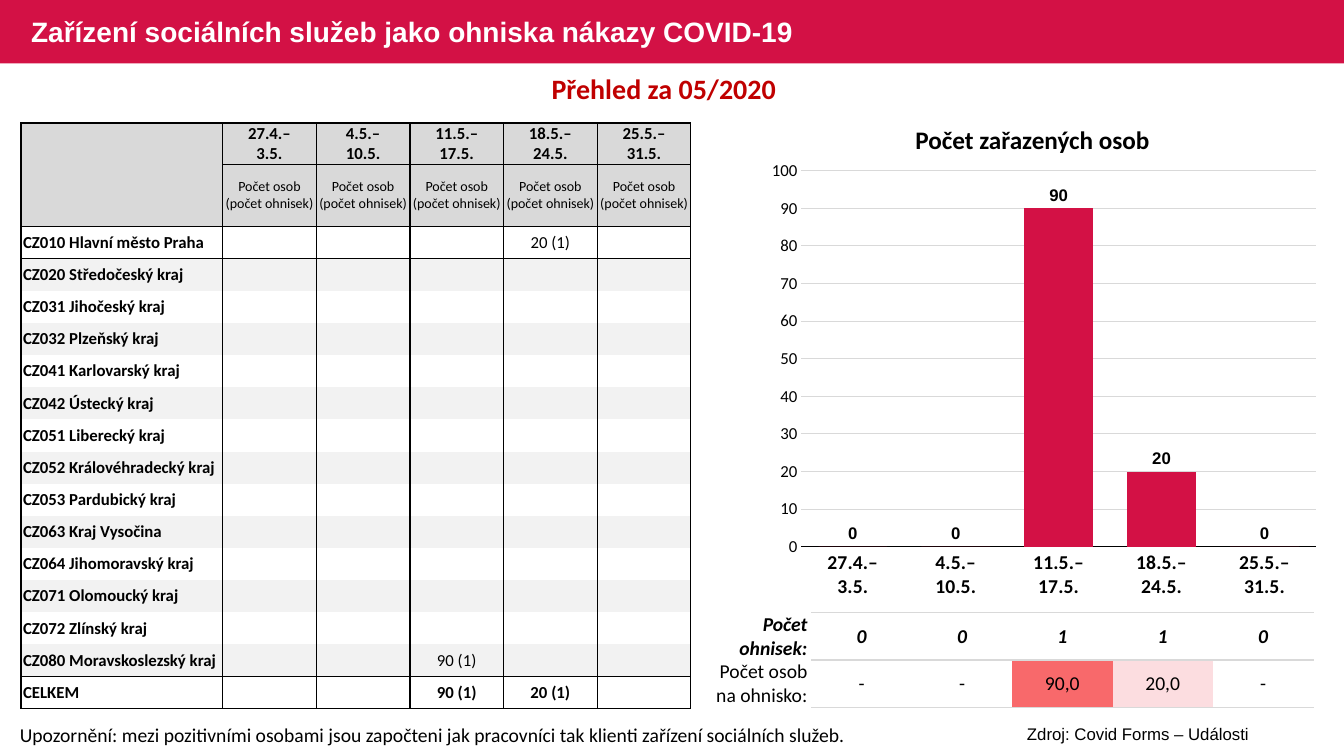
import copy

import pptx
import pptx.chart.data
import pptx.dml.color
import pptx.enum.chart
import pptx.enum.text
import pptx.oxml
import pptx.oxml.ns
import pptx.util

Cm, Pt, qn = pptx.util.Cm, pptx.util.Pt, pptx.oxml.ns.qn
ALIGN = pptx.enum.text.PP_ALIGN
MIDDLE = pptx.enum.text.MSO_ANCHOR.MIDDLE
RED, BLACK, GRID, STRIPE = "D31145", "000000", "D9D9D9", "F2F2F2"
NO_STYLE = "{2D5ABB26-0587-4C30-8999-92F81FD0307C}"

WEEKS = ["27.4.–\n3.5.", "4.5.–\n10.5.", "11.5.–\n17.5.", "18.5.–\n24.5.", "25.5.–\n31.5."]
REGIONS = ["CZ010 Hlavní město Praha", "CZ020 Středočeský kraj", "CZ031 Jihočeský kraj",
           "CZ032 Plzeňský kraj", "CZ041 Karlovarský kraj", "CZ042 Ústecký kraj",
           "CZ051 Liberecký kraj", "CZ052 Královéhradecký kraj", "CZ053 Pardubický kraj",
           "CZ063 Kraj Vysočina", "CZ064 Jihomoravský kraj", "CZ071 Olomoucký kraj",
           "CZ072 Zlínský kraj", "CZ080 Moravskoslezský kraj", "CELKEM"]
CASES = {("CZ010 Hlavní město Praha", 3): "20 (1)", ("CZ080 Moravskoslezský kraj", 2): "90 (1)",
         ("CELKEM", 2): "90 (1)", ("CELKEM", 3): "20 (1)"}


def color(hex_text):
    return pptx.dml.color.RGBColor.from_string(hex_text)


def format_font(font, **values):
    values = {"name": "Calibri", "size": 12, "bold": False, "color": BLACK} | values
    font.color.rgb = color(values.pop("color"))
    values["size"] = Pt(values["size"])
    for key, value in values.items():
        setattr(font, key, value)


def fill_solid(fill, hex_text):
    fill.solid()
    fill.fore_color.rgb = color(hex_text)


class SlideBuilder:
    def __init__(self, deck):
        self.slide = deck.slides.add_slide(deck.slide_layouts[5])
        self.shapes = self.slide.shapes

    def set_text(self, frame, text, align=ALIGN.LEFT, **font):
        paragraph = frame.paragraphs[0]
        paragraph.text = text
        paragraph.alignment = align
        for run in paragraph.runs:
            format_font(run.font, **font)
        # Line breaks and empty cells need the text size as well
        for line_break in paragraph._p.findall(qn("a:br")):
            line_break.insert(0, copy.deepcopy(paragraph.runs[0]._r.rPr))
        if not text:
            paragraph._p.get_or_add_endParaRPr().set("sz", str(font.get("size", 12) * 100))
        return paragraph

    def banner(self, *box):
        bar = self.shapes.add_shape(1, *map(Cm, box))
        bar.shadow.inherit = False
        fill_solid(bar.fill, RED)
        bar.line.fill.background()
        self.shapes._spTree.insert(2, bar._element)

    def title(self, text, *box):
        heading = self.shapes.title
        for side, length in zip(("left", "top", "width", "height"), box):
            setattr(heading, side, Cm(length))
        heading.text_frame.vertical_anchor = MIDDLE
        line = self.set_text(heading.text_frame, text, name="Arial", size=20, bold=True,
                             color="FFFFFF")
        line.line_spacing = 0.9

    def text(self, text, *box, **style):
        frame = self.shapes.add_textbox(*map(Cm, box)).text_frame
        frame.word_wrap = True
        frame.auto_size = pptx.enum.text.MSO_AUTO_SIZE.SHAPE_TO_FIT_TEXT
        self.set_text(frame, text, **style)

    def table(self, left, top, widths, heights):
        table = self.shapes.add_table(len(heights), len(widths), Cm(left), Cm(top),
                                      Cm(sum(widths)), Cm(sum(heights))).table
        table.first_row = table.horz_banding = False
        table._tbl.tblPr.find(qn("a:tableStyleId")).text = NO_STYLE
        for column, width in zip(table.columns, widths):
            column.width = Cm(width)
        for row, height in zip(table.rows, heights):
            row.height = Cm(height)
        return table

    def cell(self, cell, text="", fill=None, borders=None, margin=0.03, **style):
        """Borders map a side (L, R, T, B) to a width in points and a colour."""
        cell.vertical_anchor = MIDDLE
        cell.margin_left = cell.margin_right = Cm(margin)
        cell.margin_top = cell.margin_bottom = 0
        self.set_text(cell.text_frame, text, **style)
        properties = cell._tc.get_or_add_tcPr()
        for side in "LRTB":
            if side in (borders or {}):
                width, hex_text = borders[side]
                properties.append(pptx.oxml.parse_xml(
                    f'<a:ln{side} xmlns:a="http://schemas.openxmlformats.org/drawingml/2006/main" '
                    f'w="{Pt(width)}"><a:solidFill><a:srgbClr val="{hex_text}"/>'
                    f'</a:solidFill></a:ln{side}>'))
        if fill:
            fill_solid(cell.fill, fill)
        else:
            cell.fill.background()

    def column_chart(self, categories, values, *box):
        data = pptx.chart.data.CategoryChartData()
        data.categories = categories
        data.add_series("Počet zařazených osob", values)
        chart = self.shapes.add_chart(pptx.enum.chart.XL_CHART_TYPE.COLUMN_CLUSTERED,
                                      *map(Cm, box), data).chart
        chart.has_legend = chart.has_title = False
        format_font(chart.font, name="Arial", size=14, bold=True)
        plot = chart.plots[0]
        plot.gap_width, plot.vary_by_categories = 50, False
        fill_solid(plot.series[0].format.fill, RED)
        # Value labels
        plot.has_data_labels = True
        labels = plot.data_labels
        labels.show_value = True
        labels.position = pptx.enum.chart.XL_LABEL_POSITION.OUTSIDE_END
        format_font(labels.font, name="Arial", bold=True)
        # Axes
        weeks, persons = chart.category_axis, chart.value_axis
        for axis in (weeks, persons):
            axis.major_tick_mark = axis.minor_tick_mark = pptx.enum.chart.XL_TICK_MARK.NONE
        format_font(weeks.tick_labels.font, size=14, bold=True)
        format_font(persons.tick_labels.font)
        persons.minimum_scale, persons.maximum_scale, persons.major_unit = 0, 100, 10
        persons.format.line.fill.background()
        for line, shade in ((weeks.format.line, BLACK), (persons.major_gridlines.format.line, GRID)):
            line.width = Pt(0.75)
            line.color.rgb = color(shade)
        # Plot area inside the chart frame
        area = chart._chartSpace.chart.plotArea
        for old in area.findall(qn("c:layout")):
            area.remove(old)
        sizes = "".join(f'<c:{key} val="{value}"/>' for key, value in (
            ("layoutTarget", "inner"), ("xMode", "edge"), ("yMode", "edge"),
            ("x", 0.07), ("y", 0.04), ("w", 0.91), ("h", 0.82)))
        area.insert(0, pptx.oxml.parse_xml(
            '<c:layout xmlns:c="http://schemas.openxmlformats.org/drawingml/2006/chart">'
            f'<c:manualLayout>{sizes}</c:manualLayout></c:layout>'))


def main():
    deck = pptx.Presentation()
    deck.slide_width, deck.slide_height = Cm(33.87), Cm(19.05)
    page = SlideBuilder(deck)

    # Heading
    page.banner(0, 0, 33.87, 1.6)
    page.title("Zařízení sociálních služeb jako ohniska nákazy COVID-19", 0.53, 0.05, 20.65, 1.6)
    page.text("Přehled za 05/2020 ", 0.53, 1.68, 32.56, 1.12,
              align=ALIGN.CENTER, size=20, bold=True, color="C00000")

    # Outbreaks per focus, beside the row labels
    focus_table = page.table(20.45, 15.44, [2.53] * 5, [1.19] * 2)
    shades = {"90,0": "F8696B", "20,0": "FCDDE0"}
    for row, values in enumerate((["0", "0", "1", "1", "0"], ["-", "-", "90,0", "20,0", "-"])):
        for column, value in enumerate(values):
            page.cell(focus_table.cell(row, column), value, shades.get(value), align=ALIGN.CENTER,
                      size=14, bold=row == 0, italic=row == 0)

    # Region table
    region_table = page.table(0.53, 3.1, [5.08] + [2.36] * 5, [1.04, 1.57] + [0.81] * 15)
    thick, thin = (1, BLACK), (0.5, BLACK)
    sides = {"L": thick, "R": thick}
    for column in range(6):
        week = WEEKS[column - 1] if column else ""
        unit = "Počet osob (počet ohnisek)" if column else ""
        middle = {"B": thick} if column else {}
        page.cell(region_table.cell(0, column), week, GRID, sides | {"T": thick} | middle,
                  align=ALIGN.CENTER, bold=True)
        page.cell(region_table.cell(1, column), unit, GRID,
                  sides | ({"T": thick} if column else {}) | {"B": thin},
                  align=ALIGN.CENTER, size=10)
        for index, region in enumerate(REGIONS):
            total = region == "CELKEM"
            borders = dict(sides)
            if index == 0:
                borders["T"] = thin
            if total:
                borders |= {"T": thick, "B": thick}
            if index == len(REGIONS) - 2:
                borders["B"] = thick
            page.cell(region_table.cell(index + 2, column),
                      CASES.get((region, column - 1), "") if column else region,
                      STRIPE if index % 2 else None, borders, margin=0.03 if column else 0.05,
                      align=ALIGN.CENTER if column else ALIGN.LEFT, bold=total or column == 0)

    # Chart
    page.column_chart(WEEKS, [0, 0, 90, 20, 0], 19.2, 3.84, 14.25, 11.56)
    page.text("Počet zařazených osob", 19.2, 3.02, 13.64, 1.02,
              align=ALIGN.CENTER, size=18, bold=True)

    # Row labels under the chart, with the rules to their right
    label_table = page.table(17.88, 15.44, [2.57] + [1.81] * 7, [1.19] * 2)
    for row, label in enumerate(("Počet ohnisek:", "Počet osob na ohnisko:")):
        page.cell(label_table.cell(row, 0), label, margin=0.1, align=ALIGN.RIGHT,
                  size=14, bold=row == 0, italic=row == 0)
        for column in range(1, 8):
            page.cell(label_table.cell(row, column), borders={"T": (1, GRID), "B": (1, GRID)})

    # Footnotes
    page.text("Upozornění: mezi pozitivními osobami jsou započteni jak pracovníci "
              "tak klienti zařízení sociálních služeb.", 0.25, 18.08, 21.64, 0.86, size=14)
    page.text("Zdroj: Covid Forms – Události", 23.75, 18.11, 9.86, 0.76,
              align=ALIGN.CENTER, name="Arial")

    deck.save("out.pptx")


if __name__ == "__main__":
    main()
